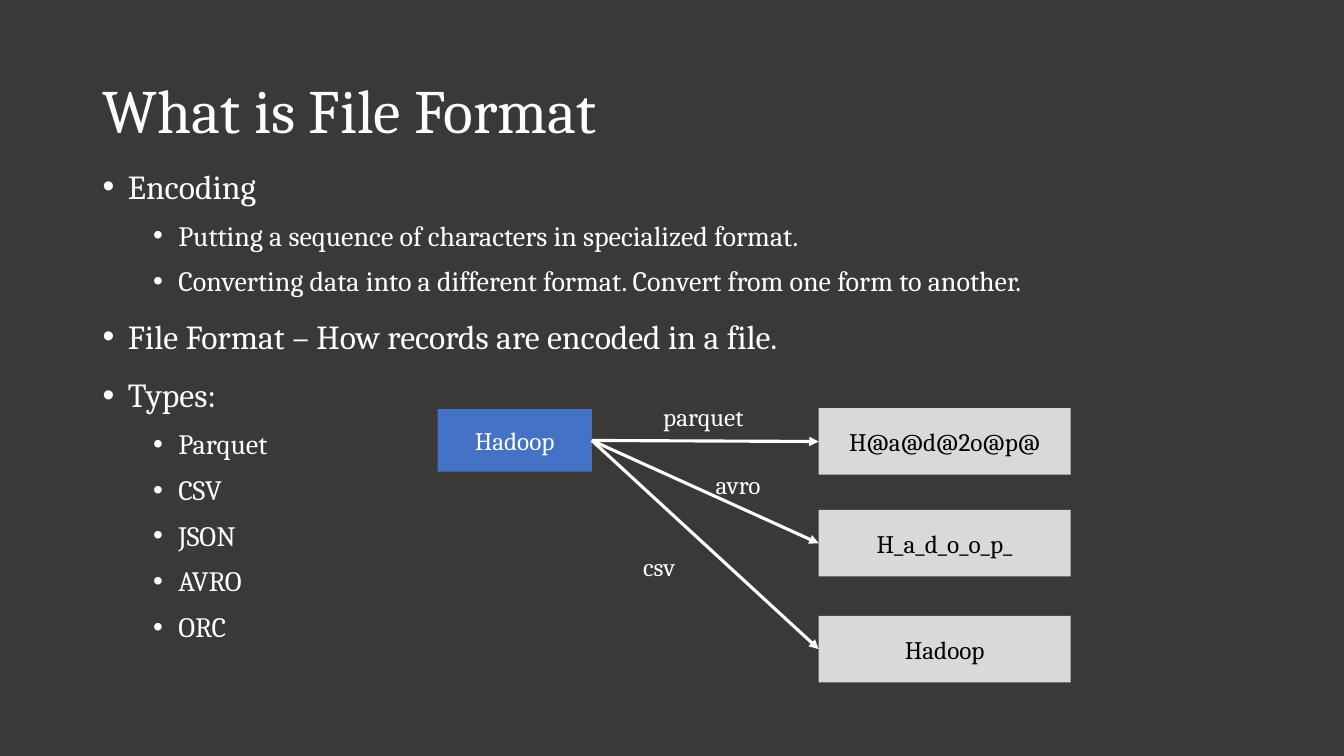
from dataclasses import dataclass

from lxml import etree
from pptx import Presentation
from pptx import util as u
from pptx.dml.color import RGBColor
from pptx.enum import shapes, text
from pptx.oxml import ns


@dataclass(frozen=True)
class Theme:
    font: str = "Cambria"
    background: str = "3B3838"
    light: str = "FFFFFF"
    dark: str = "000000"
    source: str = "4472C4"
    encoded: str = "D9D9D9"
    title_size: int = 44
    topic_size: int = 24
    detail_size: int = 20
    label_size: int = 18


theme = Theme()


def write(para, content, size=theme.label_size, color=theme.light,
          align=text.PP_ALIGN.LEFT, line_spacing=1.0, before=0, after=0,
          level=0, bullet_indent=None):
    para.alignment = align
    para.line_spacing = line_spacing
    para.space_before = u.Pt(before)
    para.space_after = u.Pt(after)
    para.level = level
    if bullet_indent is not None:
        properties = para._p.get_or_add_pPr()
        properties.set("marL", str(u.Inches(bullet_indent)))
        properties.set("indent", str(u.Inches(-0.25)))
        etree.SubElement(properties, ns.qn("a:buFont")).set("typeface", "Arial")
        etree.SubElement(properties, ns.qn("a:buChar")).set("char", "•")
    span = para.add_run()
    span.text = content
    span.font.name = theme.font
    span.font.size = u.Pt(size)
    span.font.color.rgb = RGBColor.from_string(color)


def add_block(left, top, width, height, content, fill, color):
    box = page.shapes.add_shape(
        shapes.MSO_SHAPE.RECTANGLE,
        u.Inches(left), u.Inches(top), u.Inches(width), u.Inches(height))
    box.shadow.inherit = False
    box.fill.solid()
    box.fill.fore_color.rgb = RGBColor.from_string(fill)
    box.line.fill.background()
    box.text_frame.vertical_anchor = text.MSO_ANCHOR.MIDDLE
    write(box.text_frame.paragraphs[0], content, color=color,
          align=text.PP_ALIGN.CENTER)
    return box


deck = Presentation()
deck.slide_width = u.Inches(13.33)
deck.slide_height = u.Inches(7.5)
page = deck.slides.add_slide(deck.slide_layouts[6])
page.background.fill.solid()
page.background.fill.fore_color.rgb = RGBColor.from_string(theme.background)

title = page.shapes.add_textbox(
    u.Inches(0.92), u.Inches(0.4), u.Inches(11.5), u.Inches(1.45))
title.text_frame.word_wrap = True
title.text_frame.vertical_anchor = text.MSO_ANCHOR.MIDDLE
write(title.text_frame.paragraphs[0], "What is File Format",
      size=theme.title_size, line_spacing=0.9)

outline = [
    ("Encoding", [
        "Putting a sequence of characters in specialized format.",
        "Converting data into a different format. Convert from one form to another.",
    ]),
    ("File Format – How records are encoded in a file.", []),
    ("Types:", ["Parquet", "CSV", "JSON", "AVRO", "ORC"]),
]
bullets = []
for topic, details in outline:
    bullets.append((0, topic))
    bullets.extend((1, detail) for detail in details)

body = page.shapes.add_textbox(
    u.Inches(0.92), u.Inches(1.64), u.Inches(10.63), u.Inches(5.47))
body.text_frame.word_wrap = True
sizes = (theme.topic_size, theme.detail_size)
gaps = (10, 5)
for index, (level, content) in enumerate(bullets):
    frame = body.text_frame
    para = frame.add_paragraph() if index else frame.paragraphs[0]
    write(para, content, size=sizes[level], line_spacing=0.9,
          before=gaps[level] if index else 0, after=6,
          level=level, bullet_indent=0.25 + 0.5 * level)

source = add_block(4.34, 4.06, 1.53, 0.62, "Hadoop", theme.source, theme.light)

encodings = [
    (4.05, "H@a@d@2o@p@", "parquet", 6.48, 3.93),
    (5.06, "H_a_d_o_o_p_", "avro", 7, 4.61),
    (6.11, "Hadoop", "csv", 6.28, 5.42),
]
for top, content, format_name, label_left, label_top in encodings:
    encoded = add_block(8.12, top, 2.5, 0.66, content, theme.encoded, theme.dark)

    arrow = page.shapes.add_connector(shapes.MSO_CONNECTOR.STRAIGHT, 0, 0, 0, 0)
    arrow.begin_connect(source, 3)
    arrow.end_connect(encoded, 1)
    arrow.line.color.rgb = RGBColor.from_string(theme.light)
    arrow.line.width = u.Pt(2.25)
    etree.SubElement(arrow.line._get_or_add_ln(), ns.qn("a:tailEnd")).set(
        "type", "triangle")
    etree.SubElement(arrow._element.spPr, ns.qn("a:effectLst"))

    label = page.shapes.add_textbox(
        u.Inches(label_left), u.Inches(label_top), u.Inches(1.44), u.Inches(0.4))
    label.text_frame.word_wrap = True
    label.text_frame.auto_size = text.MSO_AUTO_SIZE.SHAPE_TO_FIT_TEXT
    write(label.text_frame.paragraphs[0], format_name)

deck.save("out.pptx")
